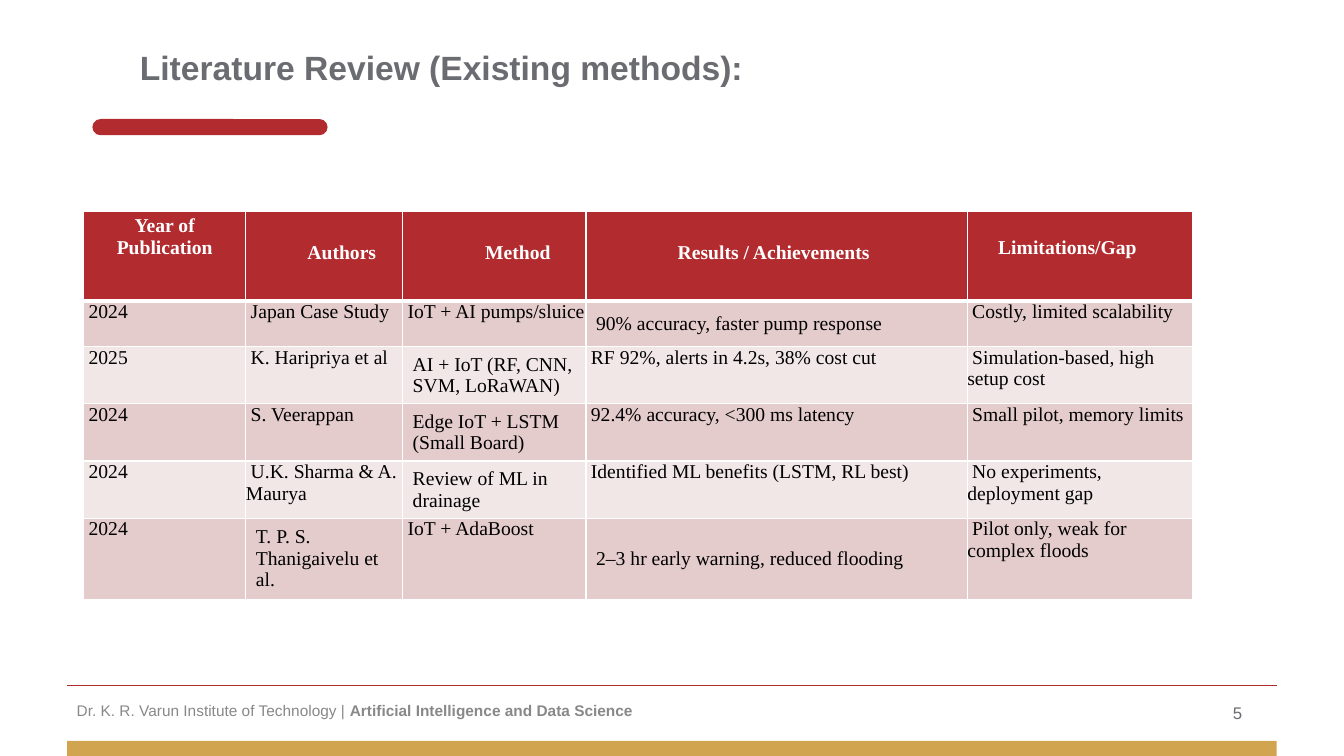
import pptx
import pptx.dml.color
import pptx.enum.shapes
import pptx.enum.text
import pptx.oxml
import pptx.oxml.ns
import pptx.util
from lxml import etree

Pt = pptx.util.Pt
Align = pptx.enum.text.PP_ALIGN
Anchor = pptx.enum.text.MSO_ANCHOR
Shape = pptx.enum.shapes.MSO_SHAPE

COLORS = {
    "red": "B22B2F", "gold": "D1A550", "slate": "6B6C71", "grey": "888888",
    "white": "FFFFFF", "black": "000000", "band_dark": "E4CBCC", "band_light": "F1E7E7",
}
COLUMN_WIDTHS = [115.8, 112, 131, 272.4, 160.6]
ROW_HEIGHTS = [64, 32.4, 40.8, 40.8, 40.8, 57.9]

# Header text, alignment and margins (left, top, right, bottom)
HEADERS = [
    ("Year of Publication", Align.CENTER, (20, 2.4, 20, 0)),
    ("Authors", Align.LEFT, (44, 22, 0, 0)),
    ("Method", Align.LEFT, (59, 22, 0, 0)),
    ("Results / Achievements", Align.LEFT, (65.5, 22, 0, 0)),
    ("Limitations/Gap", Align.LEFT, (22, 18.4, 0, 0)),
]
STUDIES = [
    ("2024", "Japan Case Study", "IoT + AI pumps/sluice",
     "90% accuracy, faster pump response", "Costly, limited scalability"),
    ("2025", "K. Haripriya et al", "AI + IoT (RF, CNN, SVM, LoRaWAN)",
     "RF 92%, alerts in 4.2s, 38% cost cut", "Simulation-based, high setup cost"),
    ("2024", "S. Veerappan", "Edge IoT + LSTM (Small Board)",
     "92.4% accuracy, <300 ms latency", "Small pilot, memory limits"),
    ("2024", "U.K. Sharma & A. Maurya", "Review of ML in drainage",
     "Identified ML benefits (LSTM, RL best)", "No experiments, deployment gap"),
    ("2024", "T. P. S. Thanigaivelu et al.", "IoT + AdaBoost",
     "2–3 hr early warning, reduced flooding", "Pilot only, weak for complex floods"),
]
# (row, column) of the cells that are padded and centred vertically
PADDED_CELLS = {(1, 3), (2, 2), (3, 2), (4, 2), (5, 1), (5, 3)}


def rgb(name):
    return pptx.dml.color.RGBColor.from_string(COLORS[name])


class SlideBuilder:
    def __init__(self, page, heading_font="Arial", table_font="Times New Roman"):
        self.page = page
        self.heading_font = heading_font
        self.table_font = table_font

    def format_span(self, span, font, size, color, bold=False):
        span.font.name = font
        span.font.size = Pt(size)
        span.font.bold = bold
        span.font.color.rgb = rgb(color)

    def set_margins(self, target, margins):
        (target.margin_left, target.margin_top,
         target.margin_right, target.margin_bottom) = map(Pt, margins)

    def bar(self, kind, left, top, width, height, color):
        bar = self.page.shapes.add_shape(kind, Pt(left), Pt(top), Pt(width), Pt(height))
        bar.shadow.inherit = False
        bar.fill.solid()
        bar.fill.fore_color.rgb = rgb(color)
        bar.line.fill.background()
        return bar

    def rule(self, left, top, width, color):
        rule = self.page.shapes.add_connector(
            pptx.enum.shapes.MSO_CONNECTOR.STRAIGHT,
            Pt(left), Pt(top), Pt(left + width), Pt(top))
        rule.line.color.rgb = rgb(color)
        rule.line.width = Pt(0.75)
        etree.SubElement(rule._element.spPr, pptx.oxml.ns.qn("a:effectLst"))

    def text(self, left, top, width, height, spans, size, color, margins=(0, 1, 0, 0)):
        """Add one line of text from (wording, bold) pairs."""
        box = self.page.shapes.add_textbox(Pt(left), Pt(top), Pt(width), Pt(height))
        frame = box.text_frame
        frame.word_wrap = True
        self.set_margins(frame, margins)
        para = frame.paragraphs[0]
        para.space_before = Pt(1)
        for wording, bold in spans:
            span = para.add_run()
            span.text = wording
            self.format_span(span, self.heading_font, size, color, bold)

    def border(self, cell, side, width):
        """Draw a white border on one side (L, R, T or B); call before filling."""
        line = etree.SubElement(cell._tc.get_or_add_tcPr(),
                                pptx.oxml.ns.qn("a:ln" + side), w=str(Pt(width)))
        fill = etree.SubElement(line, pptx.oxml.ns.qn("a:solidFill"))
        etree.SubElement(fill, pptx.oxml.ns.qn("a:srgbClr"), val=COLORS["white"])

    def cell(self, cell, wording, fill, color, margins, borders,
             bold=False, align=Align.LEFT, anchor=Anchor.TOP, first_indent=0):
        cell.text_frame.text = wording
        self.set_margins(cell, margins)
        cell.vertical_anchor = anchor
        for side, width in borders.items():
            self.border(cell, side, width)
        cell.fill.solid()
        cell.fill.fore_color.rgb = rgb(fill)
        para = cell.text_frame.paragraphs[0]
        para.alignment = align
        para._p.get_or_add_pPr().set("indent", str(Pt(first_indent)))
        self.format_span(para.runs[0], self.table_font, 14, color, bold)

    def table(self, left, top):
        table = self.page.shapes.add_table(
            len(ROW_HEIGHTS), len(COLUMN_WIDTHS), Pt(left), Pt(top),
            Pt(sum(COLUMN_WIDTHS)), Pt(sum(ROW_HEIGHTS))).table
        table.horz_banding = False
        for column, width in zip(table.columns, COLUMN_WIDTHS):
            column.width = Pt(width)
        for row, height in zip(table.rows, ROW_HEIGHTS):
            row.height = Pt(height)

        for column, (wording, align, margins) in enumerate(HEADERS):
            self.cell(table.cell(0, column), wording, "red", "white", margins,
                      {"L": 1, "R": 1, "T": 1, "B": 3}, bold=True, align=align)
        for row, study in enumerate(STUDIES, start=1):
            band = "band_dark" if row % 2 else "band_light"
            borders = {"L": 1, "R": 1, "T": 3 if row == 1 else 1, "B": 1}
            for column, wording in enumerate(study):
                padded = (row, column) in PADDED_CELLS
                self.cell(table.cell(row, column), wording, band, "black",
                          (7.2, 3.6, 7.2, 3.6) if padded else (0, 0, 0, 0), borders,
                          anchor=Anchor.MIDDLE if padded else Anchor.TOP,
                          first_indent=0 if padded else 3.5)


def main():
    deck = pptx.Presentation()
    deck.slide_width, deck.slide_height = Pt(960), Pt(540)
    builder = SlideBuilder(deck.slides.add_slide(deck.slide_layouts[6]))

    accent = builder.bar(Shape.ROUNDED_RECTANGLE, 66, 85, 168, 11.6, "red")
    accent.adjustments[0] = 0.5
    builder.bar(Shape.RECTANGLE, 48, 529.2, 864, 10.8, "gold")
    builder.rule(48, 489.6, 864, "red")
    builder.text(54, 499.6, 440, 14.4,
                 [("Dr. K. R. Varun Institute of Technology | ", False),
                  ("Artificial Intelligence and Data Science", True)], 11, "grey",
                 (0.8, 1, 0, 0))
    builder.text(880.6, 501, 9, 16.6, [("5", False)], 12, "slate")
    builder.text(41, 25.2, 490, 50.4, [("Literature Review (Existing methods):", True)],
                 24, "slate", (59, 8, 0, 0))
    builder.table(59.8, 151.2)
    deck.save("out.pptx")


if __name__ == "__main__":
    main()
